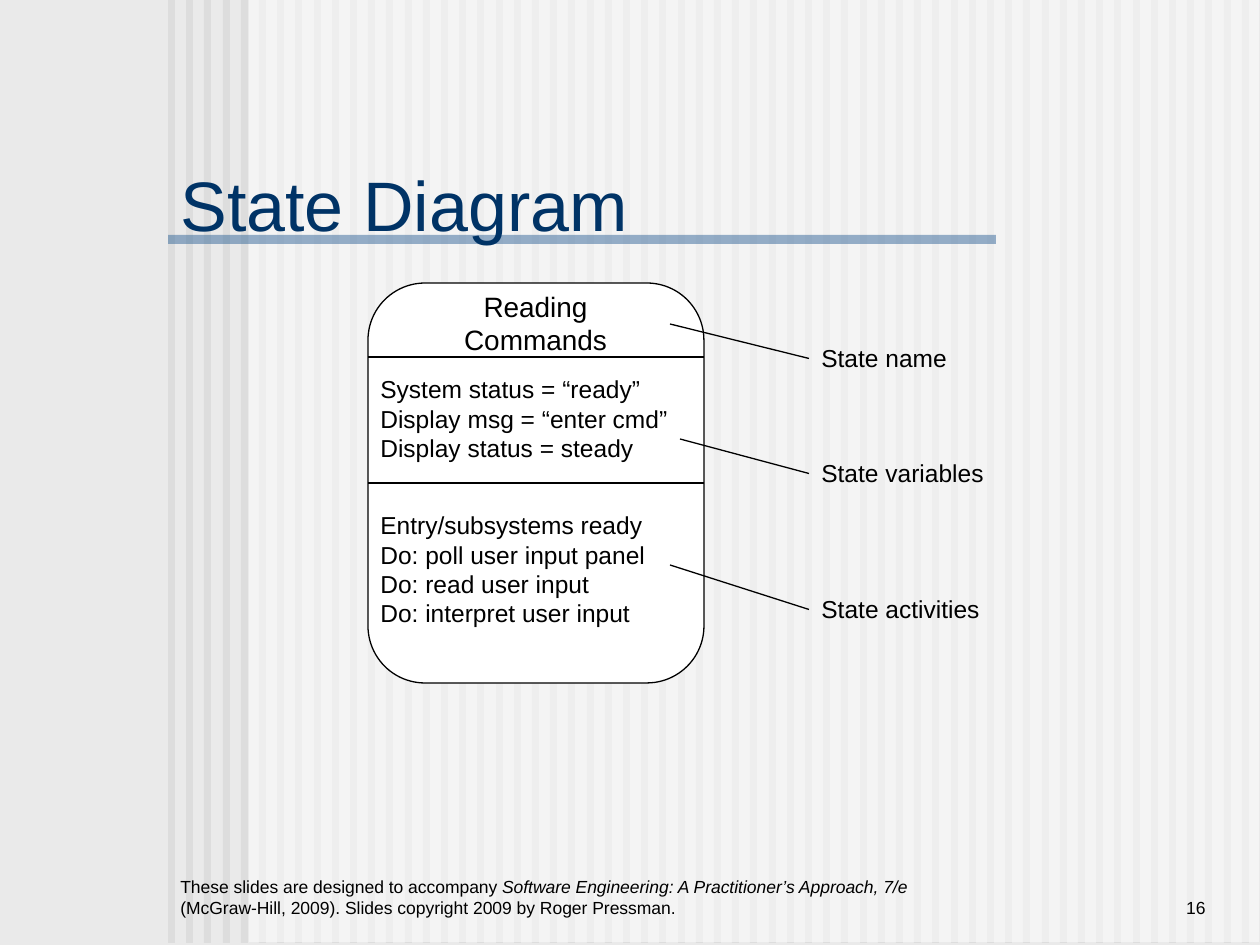
import pptx
import pptx.dml.color
import pptx.enum.shapes
import pptx.enum.text
import pptx.oxml
import pptx.oxml.ns
import pptx.util

RGB = pptx.dml.color.RGBColor
SHAPE = pptx.enum.shapes.MSO_SHAPE
LINE = pptx.enum.shapes.MSO_CONNECTOR.STRAIGHT
ALIGN = pptx.enum.text.PP_ALIGN
ANCHOR = pptx.enum.text.MSO_ANCHOR
FIT = pptx.enum.text.MSO_AUTO_SIZE

BLACK = RGB(0x00, 0x00, 0x00)
WHITE = RGB(0xFF, 0xFF, 0xFF)
PAPER = RGB(0xEA, 0xEA, 0xEA)
GREY = RGB(0xDD, 0xDD, 0xDD)
BLUE = RGB(0x33, 0x66, 0x99)
NAVY = RGB(0x00, 0x33, 0x66)


def px(n):
    return pptx.util.Emu(round(n * 914400 / 126))


class Deck:
    font = "Arial"
    width = pptx.util.Pt(0.75)

    def __init__(self):
        self.prs = pptx.Presentation()
        self.prs.slide_width = px(1260)
        self.prs.slide_height = px(945)
        self.slide = self.prs.slides.add_slide(self.prs.slide_layouts[5])
        self.shapes = self.slide.shapes
        back = self.slide.background.fill
        back.solid()
        back.fore_color.rgb = PAPER

    def rect(self, box, fill, alpha=100, line=None, kind=SHAPE.RECTANGLE):
        shape = self.shapes.add_shape(kind, *map(px, box))
        shape.shadow.inherit = False
        shape.fill.solid()
        shape.fill.fore_color.rgb = fill
        if alpha < 100:
            tint = shape._element.spPr.find(
                ".//" + pptx.oxml.ns.qn("a:srgbClr"))
            part = pptx.oxml.parse_xml(
                f'<a:alpha {pptx.oxml.ns.nsdecls("a")} val="{alpha * 1000}"/>')
            tint.append(part)
        if line is None:
            shape.line.fill.background()
        else:
            shape.line.color.rgb = line
            shape.line.width = self.width
        return shape

    def rows(self, frame, rows, size, color=BLACK, align=ALIGN.LEFT):
        """Each row is a list of (text, italic) runs."""
        for i, row in enumerate(rows):
            para = frame.add_paragraph() if i else frame.paragraphs[0]
            para.alignment = align
            for text, slant in row:
                run = para.add_run()
                run.text = text
                run.font.name = self.font
                run.font.size = pptx.util.Pt(size)
                run.font.italic = slant
                run.font.color.rgb = color

    def title(self, box, text):
        shape = self.shapes.title
        shape.left, shape.top, shape.width, shape.height = map(px, box)
        self.shapes._spTree.append(shape._element)  # in front of the bar
        frame = shape.text_frame
        frame.auto_size = FIT.NONE
        frame.vertical_anchor = ANCHOR.BOTTOM
        self.rows(frame, plain(text), 40, NAVY)

    def text(self, box, rows, size, align=ALIGN.LEFT, anchor=ANCHOR.TOP,
             wrap=True):
        shape = self.shapes.add_textbox(*map(px, box))
        frame = shape.text_frame
        frame.word_wrap = wrap
        frame.auto_size = FIT.NONE
        frame.vertical_anchor = anchor
        self.rows(frame, rows, size, BLACK, align)
        return shape

    def line(self, x1, y1, x2, y2, start=None):
        wire = self.shapes.add_connector(LINE, *map(px, (x1, y1, x2, y2)))
        wire.line.color.rgb = BLACK
        wire.line.width = self.width
        props = wire._element.spPr
        props.append(props.makeelement(pptx.oxml.ns.qn("a:effectLst"), {}))
        if start is not None:
            wire.begin_connect(start, 1)

    def save(self):
        self.prs.save("out.pptx")


def plain(*lines):
    return [[(line, False)] for line in lines]


def main():
    deck = Deck()

    # Striped background, veil and title bar
    for i in range(60):
        deck.rect((round(168 + 18.2 * i), 0, 7, 943), GREY)
    deck.rect((249, -1, 1010, 943), WHITE, 50)
    deck.rect((168, 235, 828, 9), BLUE, 50)

    # Footer, page number and title
    deck.text((168, 861, 756, 63), [[
        ("These slides are designed to accompany ", False),
        ("Software Engineering: A Practitioner’s Approach, 7/e ", True),
        ("(McGraw-Hill, 2009). Slides copyright 2009 by Roger Pressman.",
         False)]], 10, anchor=ANCHOR.BOTTOM)
    deck.text((1039, 861, 179, 63), plain("16"), 10, ALIGN.RIGHT,
              ANCHOR.BOTTOM)
    deck.title((168, 157, 599, 95), "State Diagram")

    # State box with its three parts
    left, right = 368, 704
    state = deck.rect((left, 283, right - left, 400), WHITE, line=BLACK,
                      kind=SHAPE.ROUNDED_RECTANGLE)
    state.adjustments[0] = 0.17
    for y in (357, 483):
        deck.line(left, y, right, y)
    deck.text((451, 283, 169, 81), plain("Reading", "Commands"), 16,
              ALIGN.CENTER)
    deck.text((left, 368, 325, 101), plain(
        "System status = “ready”", "Display msg = “enter cmd”",
        "Display status = steady"), 14)
    deck.text((left, 504, 325, 160), plain(
        "Entry/subsystems ready", "Do: poll user input panel",
        "Do: read user input", "Do: interpret user input"), 14)

    # Labels, each with a line to its part
    labels = [("State name", 337, 150, 670, 324),
              ("State variables", 452, 188, 680, 439),
              ("State activities", 588, 183, 670, 565)]
    for name, top, wide, x, y in labels:
        label = deck.text((809, top, wide, 43), plain(name), 14, wrap=False)
        deck.line(809, top + 22, x, y, label)

    deck.save()


if __name__ == "__main__":
    main()
